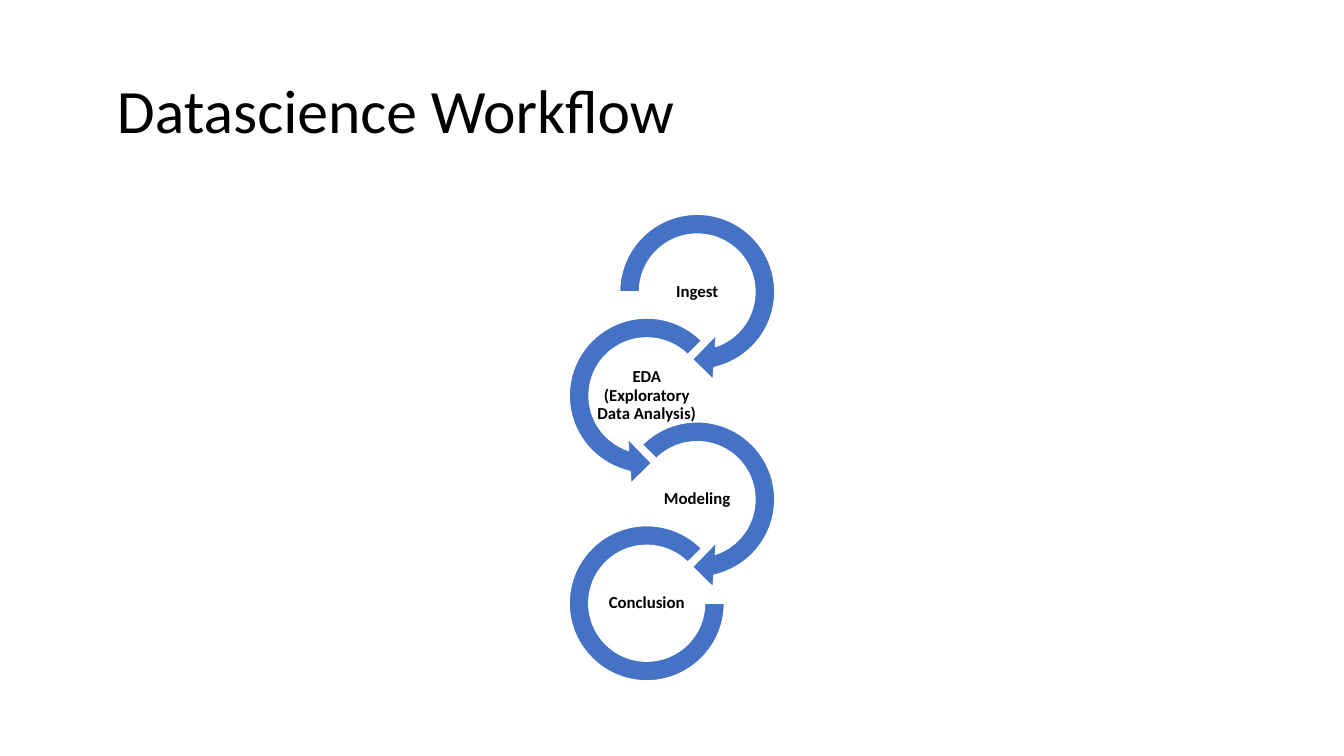
from dataclasses import dataclass

from pptx import Presentation
from pptx.dml.color import RGBColor
from pptx.enum.shapes import MSO_SHAPE
from pptx.enum.text import MSO_ANCHOR, PP_ALIGN
from pptx.util import Inches, Pt

RIGHT_ARROW = MSO_SHAPE.CIRCULAR_ARROW
LEFT_ARROW = MSO_SHAPE.LEFT_CIRCULAR_ARROW
BLOCK_ARC = MSO_SHAPE.BLOCK_ARC
MIDDLE = MSO_ANCHOR.MIDDLE
LEFT, CENTER = PP_ALIGN.LEFT, PP_ALIGN.CENTER

RIGHT_COLUMN, LEFT_COLUMN = 6.02, 5.52
FIRST_ROW, ROW_STEP = 2, 1.03
ARROW_SIZE, ARC_SIZE = 1.79, 1.54
LABEL_WIDTH, LABEL_HEIGHT = 1, 0.5

STEPS = [
    ("Ingest", RIGHT_COLUMN, RIGHT_ARROW, ARROW_SIZE, (0.11, 11.42, 45, 108, 0.125)),
    ("EDA (Exploratory Data Analysis)", LEFT_COLUMN, LEFT_ARROW, ARROW_SIZE,
     (0.11, 11.42, 63, 189, 0.125)),
    ("Modeling", RIGHT_COLUMN, RIGHT_ARROW, ARROW_SIZE, (0.11, 11.42, 45, 135, 0.125)),
    ("Conclusion", LEFT_COLUMN, BLOCK_ARC, ARC_SIZE, (0, 189, 0.127)),
]


@dataclass(frozen=True)
class Theme:
    font: str = "Calibri"
    text: RGBColor = RGBColor(0x00, 0x00, 0x00)
    ring: RGBColor = RGBColor(0x44, 0x72, 0xC4)
    outline: RGBColor = RGBColor(0xFF, 0xFF, 0xFF)
    title_size: int = 44
    label_size: int = 12


class WorkflowSlide:
    """Draw workflow elements on one slide in one theme."""

    def __init__(self, slide, theme):
        self.slide = slide
        self.theme = theme

    def text(self, text, left, top, width, height, *, size, bold=False,
             align=LEFT, inset=0.01, left_inset=0.01):
        box = self.slide.shapes.add_textbox(
            Inches(left), Inches(top), Inches(width), Inches(height))
        frame = box.text_frame
        frame.word_wrap = True
        frame.vertical_anchor = MIDDLE
        frame.margin_left = Inches(left_inset)
        frame.margin_right = frame.margin_top = frame.margin_bottom = Inches(inset)
        paragraph = frame.paragraphs[0]
        paragraph.alignment = align
        paragraph.line_spacing = 0.9
        run = paragraph.add_run()
        run.text = text
        run.font.name = self.theme.font
        run.font.size = Pt(size)
        run.font.bold = bold
        run.font.color.rgb = self.theme.text

    def ring(self, kind, center_x, center_y, size, adjustments):
        shape = self.slide.shapes.add_shape(
            kind, Inches(center_x - size / 2), Inches(center_y - size / 2),
            Inches(size), Inches(size))
        for index, value in enumerate(adjustments):
            shape.adjustments[index] = value
        shape.shadow.inherit = False
        shape.fill.solid()
        shape.fill.fore_color.rgb = self.theme.ring
        shape.line.color.rgb = self.theme.outline
        shape.line.width = Pt(1)

    def step(self, label, left, top, kind, size, adjustments):
        center_x, center_y = left + ARROW_SIZE / 2, top + ARROW_SIZE / 2
        self.ring(kind, center_x, center_y, size, adjustments)
        self.text(label, center_x - LABEL_WIDTH / 2, center_y - LABEL_HEIGHT / 2,
                  LABEL_WIDTH, LABEL_HEIGHT, size=self.theme.label_size,
                  bold=True, align=CENTER)


def main():
    presentation = Presentation()
    presentation.slide_width = Inches(13.33)
    presentation.slide_height = Inches(7.5)
    theme = Theme()
    workflow = WorkflowSlide(
        presentation.slides.add_slide(presentation.slide_layouts[6]), theme)
    workflow.text("Datascience Workflow", 0.92, 0.4, 11.5, 1.45,
                  size=theme.title_size, inset=0.05, left_inset=0.24)
    for row, (label, left, kind, size, adjustments) in enumerate(STEPS):
        workflow.step(label, left, FIRST_ROW + row * ROW_STEP, kind, size, adjustments)
    presentation.save("out.pptx")


if __name__ == "__main__":
    main()
